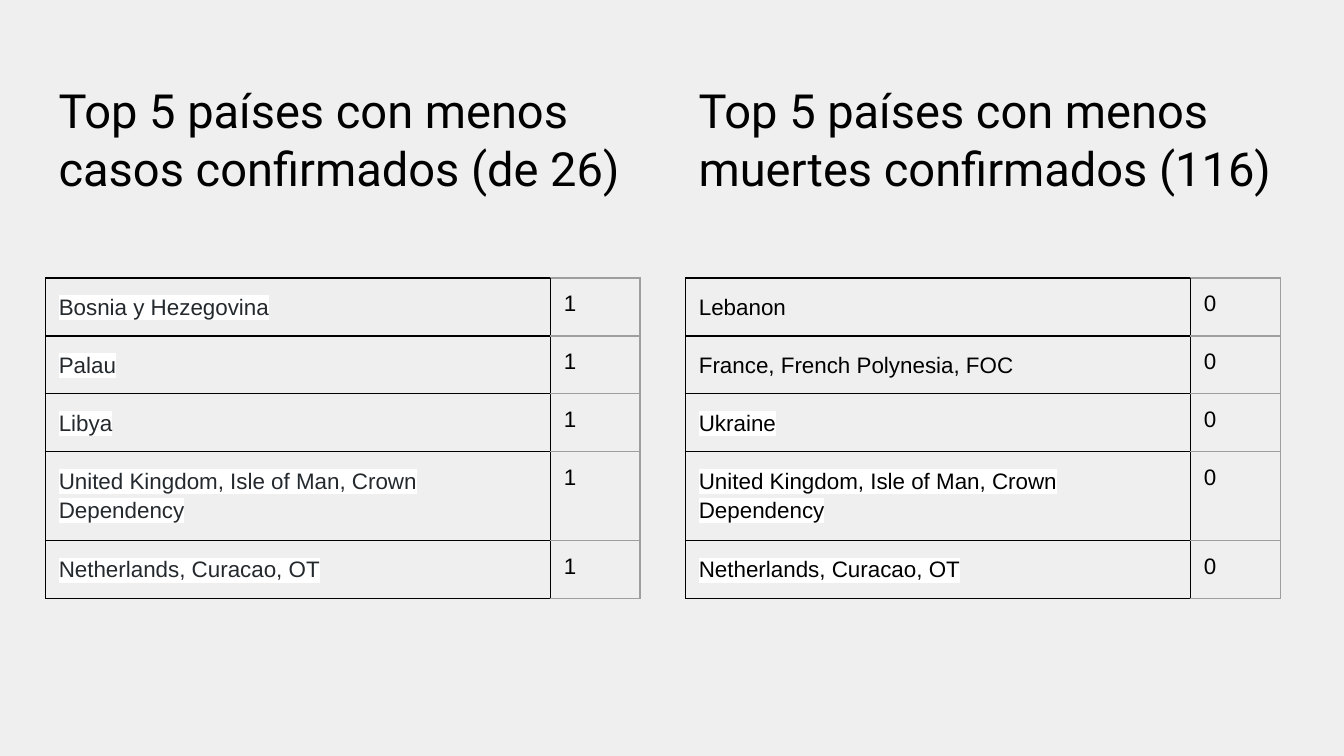
from lxml import etree
from pptx import Presentation
from pptx import util as u
from pptx.dml.color import RGBColor
from pptx.enum import text
from pptx.oxml import ns

BLACK, GREY, INK = "000000", "9E9E9E", "24292E"
MARGIN = {f"margin_{side}": u.Pt(7.2) for side in ("left", "right", "top", "bottom")}


def color(value):
    return RGBColor.from_string(value)


def add_solid(parent, tag, value):
    """Make a child element holding one RGB colour."""
    solid = etree.SubElement(parent, ns.qn(tag))
    etree.SubElement(solid, ns.qn("a:srgbClr"), val=value)
    return solid


# Page
deck = Presentation()
deck.slide_width, deck.slide_height = u.Pt(720), u.Pt(405)
page = deck.slides.add_slide(deck.slide_layouts[6])
page.background.fill.solid()
page.background.fill.fore_color.rgb = color("EFEFEF")

# Each panel: left, title width, title lines, count, name colour, first cell fill,
# then the countries and the first row whose name is highlighted
shared = ["United Kingdom, Isle of Man, Crown Dependency", "Netherlands, Curacao, OT"]
panels = [
    (24.3, 318.2, ["Top 5 países con menos", "casos confirmados (de 26)"], "1", INK, "EEEEEE",
     ["Bosnia y Hezegovina", "Palau", "Libya"] + shared, 0),
    (367.2, 335.5, ["Top 5 países con menos", "muertes confirmados (116)"], "0", BLACK, None,
     ["Lebanon", "France, French Polynesia, FOC", "Ukraine"] + shared, 2),
]
column_widths = [270.6, 48]
row_heights = [30, 30, 30, 45.5, 30]

for left, width, lines, count, name_color, first_fill, countries, first_marked in panels:
    # Title
    box = page.shapes.add_textbox(u.Pt(left), u.Pt(35.3), u.Pt(width), u.Pt(80.6))
    frame = box.text_frame
    for key, value in {**MARGIN, "word_wrap": True,
                       "vertical_anchor": text.MSO_ANCHOR.TOP}.items():
        setattr(frame, key, value)
    for index, line in enumerate(lines):
        para = frame.paragraphs[0] if index == 0 else frame.add_paragraph()
        para.line_spacing = 1.03
        span = para.add_run()
        span.text = line
        span.font.name, span.font.size = "Roboto", u.Pt(25.2)
        span.font.color.rgb = color(BLACK)

    # Table
    table = page.shapes.add_table(
        len(countries), 2, u.Pt(left), u.Pt(149),
        u.Pt(sum(column_widths)), u.Pt(sum(row_heights))).table
    table.first_row = table.horz_banding = False
    for column, column_width in zip(table.columns, column_widths):
        column.width = u.Pt(column_width)
    for row, row_height in zip(table.rows, row_heights):
        row.height = u.Pt(row_height)

    for row, country in enumerate(countries):
        for column, words in enumerate([country, count]):
            is_name = column == 0
            cell = table.cell(row, column)
            for key, value in MARGIN.items():
                setattr(cell, key, value)
            if is_name and row == 0 and first_fill:
                cell.fill.solid()
                cell.fill.fore_color.rgb = color(first_fill)
            else:
                cell.fill.background()

            # Cell text
            para = cell.text_frame.paragraphs[0]
            if is_name:
                para.line_spacing, para.space_after = 1.15, u.Pt(12)
            span = para.add_run()
            span.text = words
            span.font.name, span.font.size = "Arial", u.Pt(12)
            span.font.color.rgb = color(name_color if is_name else BLACK)
            if is_name and row >= first_marked:
                properties = span.font._element
                mark = add_solid(properties, "a:highlight", "FFFFFF")
                properties.find(ns.qn("a:solidFill")).addnext(mark)

            # Cell borders: black round the names, grey round the counts
            properties = cell._tc.get_or_add_tcPr()
            for index, side in enumerate("LRTB"):
                edge = etree.SubElement(properties, ns.qn(f"a:ln{side}"), w=str(u.Pt(0.75)))
                add_solid(edge, "a:solidFill", BLACK if is_name or side == "L" else GREY)
                properties.insert(index, edge)

deck.save("out.pptx")
